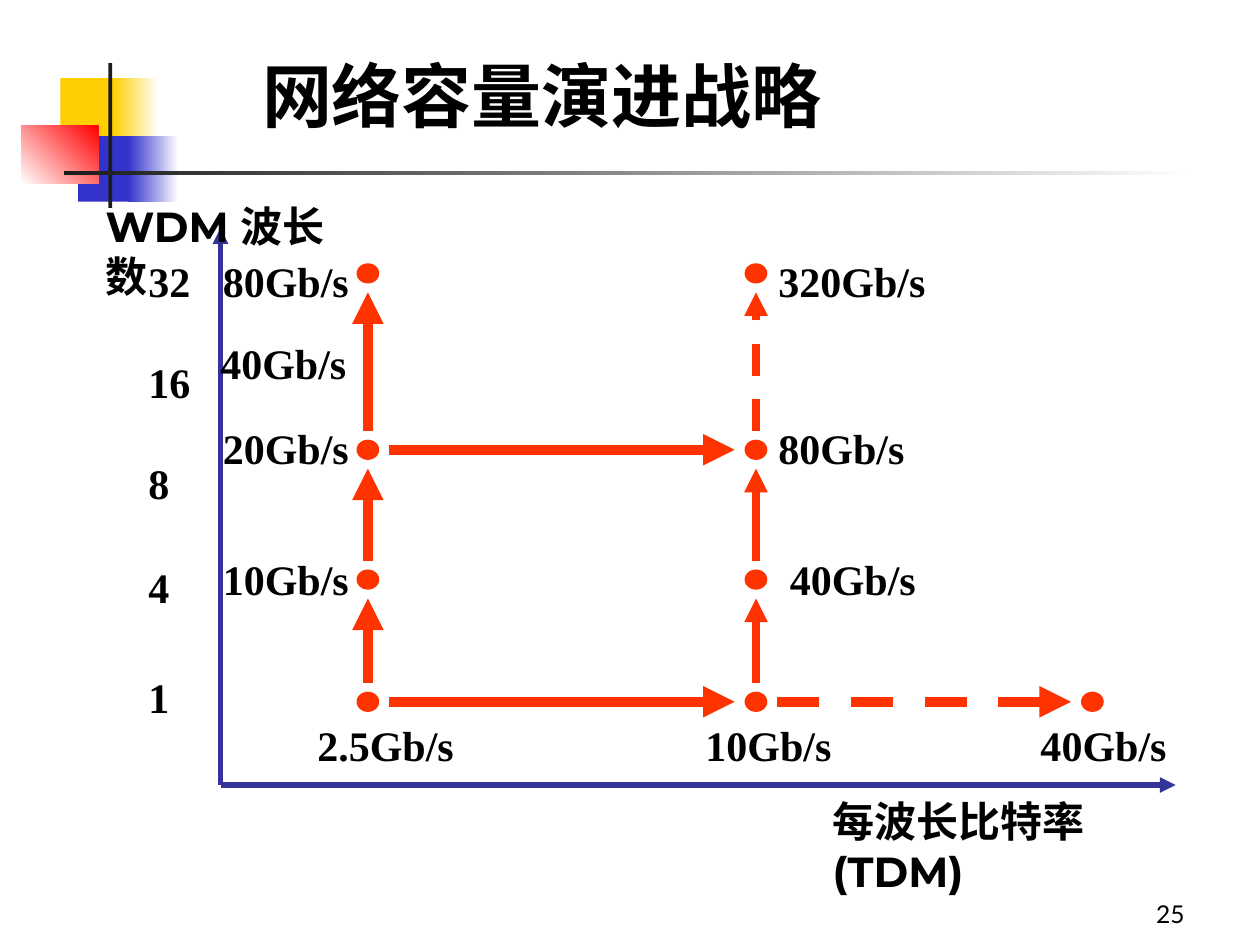
from lxml import etree
from pptx import Presentation
from pptx import util as u
from pptx.dml import color
from pptx.enum import dml, shapes, text
from pptx.oxml import ns

COLORS = {
    "yellow": "FFCF01", "blue": "3333CC", "red": "FF0000", "white": "FFFFFF",
    "dark": "1C1C1C", "axis": "333399", "route": "FF3300", "black": "000000",
}
SLIDE = (10, 7.5)
COLUMNS = (2.92, 6, 8.67)
ROWS = (2.17, 3.57, 4.6, 5.57)
GAP_X, GAP_Y = 0.17, 0.15
NODE = (0.17, 0.15)
ORIGIN, AXIS_RIGHT, AXIS_TOP = (1.75, 6.23), 9.33, 1.81
LABEL_HEIGHT = 0.45

ORNAMENTS = [
    ((0.48, 0.62, 0.48, 0.52), ("yellow",), 0),
    ((0.9, 0.62, 0.36, 0.52), ("yellow", "white"), 0),
    ((0.62, 1.08, 0.46, 0.52), ("blue",), 0),
    ((1.02, 1.08, 0.4, 0.52), ("blue", "white"), 0),
    ((0.17, 1, 0.61, 0.46), ("white", "red"), 45),
    ((0.86, 0.5, 0.03, 1.15), ("dark",), 0),
    ((0.51, 1.36, 9, 0.03), ("dark", "white"), 0),
]
NODES = [(0, 0), (0, 1), (0, 2), (0, 3), (1, 0), (1, 1), (1, 2), (1, 3), (2, 3)]
ROUTES = [
    ((0, 3), (1, 3), 6, False),
    ((1, 3), (2, 3), 6, True),
    ((0, 1), (1, 1), 6, False),
    ((0, 3), (0, 2), 6, False),
    ((0, 2), (0, 1), 6, False),
    ((0, 1), (0, 0), 6, False),
    ((1, 3), (1, 2), 4.5, False),
    ((1, 2), (1, 1), 4.5, False),
    ((1, 1), (1, 0), 4.5, True),
]
WAVELENGTHS = [("32", 2.03), ("16", 2.83), ("8", 3.63), ("4", 4.46), ("1", 5.33)]
CAPACITIES = [
    ("80Gb/s", 1.67, 2.03), ("320Gb/s", 6.08, 2.03), ("40Gb/s", 1.65, 2.68),
    ("20Gb/s", 1.67, 3.35), ("80Gb/s", 6.08, 3.35),
    ("10Gb/s", 1.67, 4.39), ("40Gb/s", 6.17, 4.39),
]
BIT_RATES = [("2.5Gb/s", 2.42), ("10Gb/s", 5.5), ("40Gb/s", 8.16)]
BIT_RATE_TOP = 5.71
AXIS_TITLES = [
    ("WDM 波长数", (0.74, 1.59, 2.25, LABEL_HEIGHT)),
    ("每波长比特率(TDM)", (6.51, 6.31, 3, LABEL_HEIGHT)),
]

LABEL = {"name": "Times New Roman", "size": u.Pt(24), "bold": True}
AXIS_TITLE = {**LABEL, "name": "Montserrat"}
TITLE = {"name": "Arial", "size": u.Pt(40), "bold": True}
NUMBER = {"name": "Lato", "size": u.Pt(14), "bold": False}


def rgb(name):
    return color.RGBColor.from_string(COLORS[name])


def inches(values):
    return [u.Inches(value) for value in values]


def add_figure(slide, kind, box, fills, angle=0):
    shape = slide.shapes.add_shape(kind, *inches(box))
    shape.shadow.inherit = False
    shape.line.fill.background()
    if len(fills) == 1:
        shape.fill.solid()
        shape.fill.fore_color.rgb = rgb(fills[0])
    else:
        shape.fill.gradient()
        shape.fill.gradient_angle = angle
        for stop, name in zip(shape.fill.gradient_stops, fills):
            stop.color.rgb = rgb(name)
    return shape


def add_arrow(slide, start, end, name, width, dashed=False):
    connector = slide.shapes.add_connector(
        shapes.MSO_CONNECTOR.STRAIGHT, *inches((*start, *end)))
    connector.line.color.rgb = rgb(name)
    connector.line.width = u.Pt(width)
    if dashed:
        connector.line.dash_style = dml.MSO_LINE.DASH
    properties = connector.element.spPr
    line = properties.find(ns.qn("a:ln"))
    etree.SubElement(line, ns.qn("a:tailEnd"), type="triangle")
    etree.SubElement(properties, ns.qn("a:effectLst"))


def add_text(slide, words, box, font, frame_format=None, align=None):
    frame = slide.shapes.add_textbox(*inches(box)).text_frame
    settings = {"word_wrap": True, "margin_top": 0, **(frame_format or {})}
    for key, value in settings.items():
        setattr(frame, key, value)
    paragraph = frame.paragraphs[0]
    paragraph.alignment = align
    run = paragraph.add_run()
    run.text = words
    for key, value in font.items():
        setattr(run.font, key, value)
    run.font.color.rgb = rgb("black")


def add_route(slide, start, end, width, dashed):
    step_x = (end[0] > start[0]) * GAP_X
    step_y = (end[1] < start[1]) * GAP_Y
    add_arrow(
        slide,
        (COLUMNS[start[0]] + step_x, ROWS[start[1]] - step_y),
        (COLUMNS[end[0]] - step_x, ROWS[end[1]] + step_y),
        "route", width, dashed)


def main():
    presentation = Presentation()
    presentation.slide_width, presentation.slide_height = inches(SLIDE)
    slide = presentation.slides.add_slide(presentation.slide_layouts[6])

    for box, fills, angle in ORNAMENTS:
        add_figure(slide, shapes.MSO_SHAPE.RECTANGLE, box, fills, angle)

    for end in ((AXIS_RIGHT, ORIGIN[1]), (ORIGIN[0], AXIS_TOP)):
        add_arrow(slide, ORIGIN, end, "axis", 3)
    for route in ROUTES:
        add_route(slide, *route)
    for column, row in NODES:
        corner = (COLUMNS[column] - NODE[0] / 2, ROWS[row] - NODE[1] / 2)
        node = add_figure(slide, shapes.MSO_SHAPE.OVAL, (*corner, *NODE), ("route",))
        node.line.color.rgb = rgb("route")
        node.line.width = u.Pt(0.75)

    labels = [(words, 1.08, top) for words, top in WAVELENGTHS]
    labels += CAPACITIES
    labels += [(words, left, BIT_RATE_TOP) for words, left in BIT_RATES]
    for words, left, top in labels:
        add_text(slide, words, (left, top, 1.4, LABEL_HEIGHT), LABEL, {"word_wrap": False})
    for words, box in AXIS_TITLES:
        add_text(slide, words, box, AXIS_TITLE)

    add_text(slide, "网络容量演进战略", (1.75, 0.37, 6.83, 0.83), TITLE,
             {"margin_left": u.Inches(0.33), "margin_top": u.Inches(0.05)})
    add_text(slide, "25", (7.42, 6.92, 2.08, 0.5), NUMBER,
             {"vertical_anchor": text.MSO_ANCHOR.BOTTOM}, text.PP_ALIGN.RIGHT)

    presentation.save("out.pptx")


if __name__ == "__main__":
    main()
